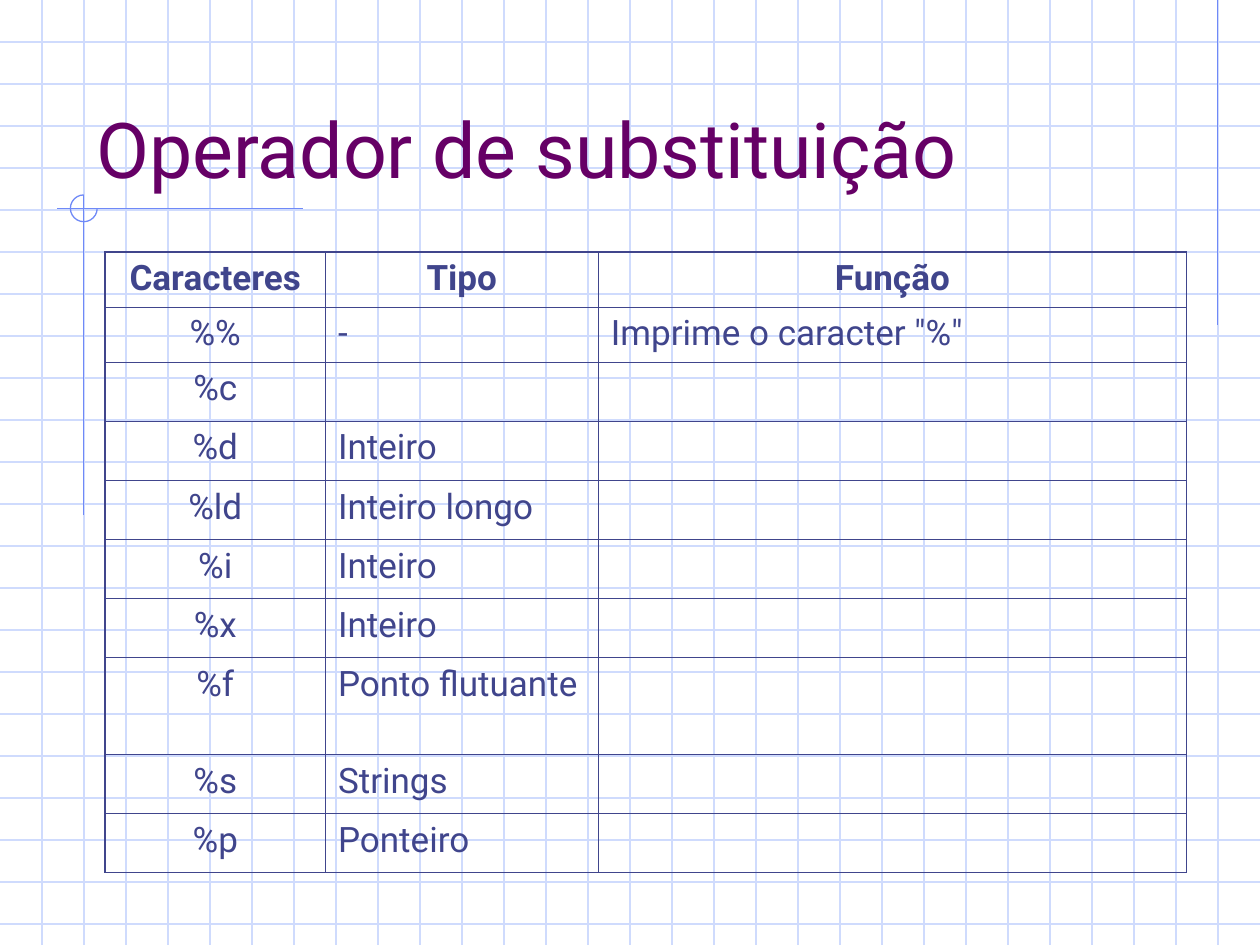
from lxml import etree
from pptx import Presentation
from pptx.dml.color import RGBColor
from pptx.enum.shapes import MSO_CONNECTOR, MSO_SHAPE
from pptx.enum.text import MSO_ANCHOR, MSO_AUTO_SIZE, PP_ALIGN
from pptx.oxml.ns import qn
from pptx.util import Cm, Pt

STRAIGHT = MSO_CONNECTOR.STRAIGHT
ARC = MSO_SHAPE.ARC
BOTTOM = MSO_ANCHOR.BOTTOM
NO_AUTOFIT = MSO_AUTO_SIZE.NONE
LEFT, CENTER = PP_ALIGN.LEFT, PP_ALIGN.CENTER

TITLE = "Operador de substituição"
ROWS = [
    ("Caracteres", "Tipo", "Função"),
    ("%%", "-", 'Imprime o caracter "%"'),
    ("%c", "", ""),
    ("%d", "Inteiro", ""),
    ("%ld", "Inteiro longo", ""),
    ("%i", "Inteiro", ""),
    ("%x", "Inteiro", ""),
    ("%f", "Ponto flutuante", ""),
    ("%s", "Strings", ""),
    ("%p", "Ponteiro", ""),
]
COLUMN_WIDTHS = [4.44, 5.5, 11.86]
ROW_HEIGHTS = [1.11] * 2 + [1.19] * 5 + [1.96] + [1.19] * 2
TABLE_LEFT, TABLE_TOP = 2.12, 5.08

FONT = "Roboto"
COLORS = {
    "background": "FFFFFF",
    "grid": "CFDBFD",
    "accent": "6F89F7",
    "title": "660066",
    "table": "40458C",
}
SLIDE_WIDTH, SLIDE_HEIGHT = 25.4, 19.05
GRID_DIVISIONS_PER_SLIDE = 30
ACCENT_LINES = [
    (24.55, 0, 24.55, 6.55),
    (6.1, 4.21, 1.14, 4.21),
    (1.69, 3.93, 1.69, 10.39),
]
OUTER_BORDER, INNER_BORDER = 1.08, 0.45


def add_line(slide, ends, color):
    line = slide.shapes.add_connector(STRAIGHT, *map(Cm, ends))
    line.line.color.rgb = RGBColor.from_string(COLORS[color])
    line.line.width = Pt(0.75)
    etree.SubElement(line._element.spPr, qn("a:effectLst"))


def add_background(slide):
    slide.background.fill.solid()
    slide.background.fill.fore_color.rgb = RGBColor.from_string(COLORS["background"])
    step = SLIDE_WIDTH / GRID_DIVISIONS_PER_SLIDE
    for index in range(1, int(SLIDE_HEIGHT / step) + 1):
        add_line(slide, (0, index * step, SLIDE_WIDTH, index * step), "grid")
    for index in range(1, GRID_DIVISIONS_PER_SLIDE):
        add_line(slide, (index * step, 0, index * step, SLIDE_HEIGHT), "grid")
    for ends in ACCENT_LINES:
        add_line(slide, ends, "accent")

    arc = slide.shapes.add_shape(ARC, Cm(1.42), Cm(3.93), Cm(0.54), Cm(0.54))
    arc.adjustments[0] = 0
    arc.adjustments[1] = 162.0
    arc.shadow.inherit = False
    arc.fill.background()
    arc.line.color.rgb = RGBColor.from_string(COLORS["accent"])
    arc.line.width = Pt(0.75)


def format_text(text_frame, size, color, alignment, bold=False):
    for paragraph in text_frame.paragraphs:
        paragraph.alignment = alignment
        for run in paragraph.runs:
            run.font.name = FONT
            run.font.size = Pt(size)
            run.font.bold = bold
            run.font.color.rgb = RGBColor.from_string(COLORS[color])


def set_border(cell, side, width):
    properties = cell._tc.get_or_add_tcPr()
    line = etree.SubElement(properties, qn(f"a:ln{side}"), w=str(Pt(width)))
    fill = etree.SubElement(line, qn("a:solidFill"))
    etree.SubElement(fill, qn("a:srgbClr"), val=COLORS["table"])


def add_title(slide):
    title = slide.shapes.title
    title.left, title.top, title.width, title.height = map(Cm, (1.69, 0.85, 21.59, 3.18))
    title.text_frame.text = TITLE
    title.text_frame.auto_size = NO_AUTOFIT
    title.text_frame.vertical_anchor = BOTTOM
    format_text(title.text_frame, 44, "title", LEFT)
    slide.shapes._spTree.append(title._element)


def add_substitution_table(slide):
    table = slide.shapes.add_table(
        len(ROWS), len(COLUMN_WIDTHS), Cm(TABLE_LEFT), Cm(TABLE_TOP),
        Cm(sum(COLUMN_WIDTHS)), Cm(sum(ROW_HEIGHTS)),
    ).table
    table.first_row = True
    table.horz_banding = False
    for column, width in zip(table.columns, COLUMN_WIDTHS):
        column.width = Cm(width)
    for row, height in zip(table.rows, ROW_HEIGHTS):
        row.height = Cm(height)

    last_row, last_column = len(ROWS) - 1, len(COLUMN_WIDTHS) - 1
    for row_index, texts in enumerate(ROWS):
        for column_index, text in enumerate(texts):
            cell = table.cell(row_index, column_index)
            is_header = row_index == 0
            if text:
                cell.text_frame.text = text
            alignment = CENTER if is_header or column_index == 0 else LEFT
            format_text(cell.text_frame, 20, "table", alignment, is_header)
            outer_sides = {
                "L": column_index == 0,
                "R": column_index == last_column,
                "T": is_header,
                "B": row_index == last_row,
            }
            for side, is_outer in outer_sides.items():
                set_border(cell, side, OUTER_BORDER if is_outer else INNER_BORDER)
            cell.fill.background()


def main():
    presentation = Presentation()
    presentation.slide_width = Cm(SLIDE_WIDTH)
    presentation.slide_height = Cm(SLIDE_HEIGHT)
    slide = presentation.slides.add_slide(presentation.slide_layouts[5])
    add_background(slide)
    add_title(slide)
    add_substitution_table(slide)
    presentation.save("out.pptx")


if __name__ == "__main__":
    main()
